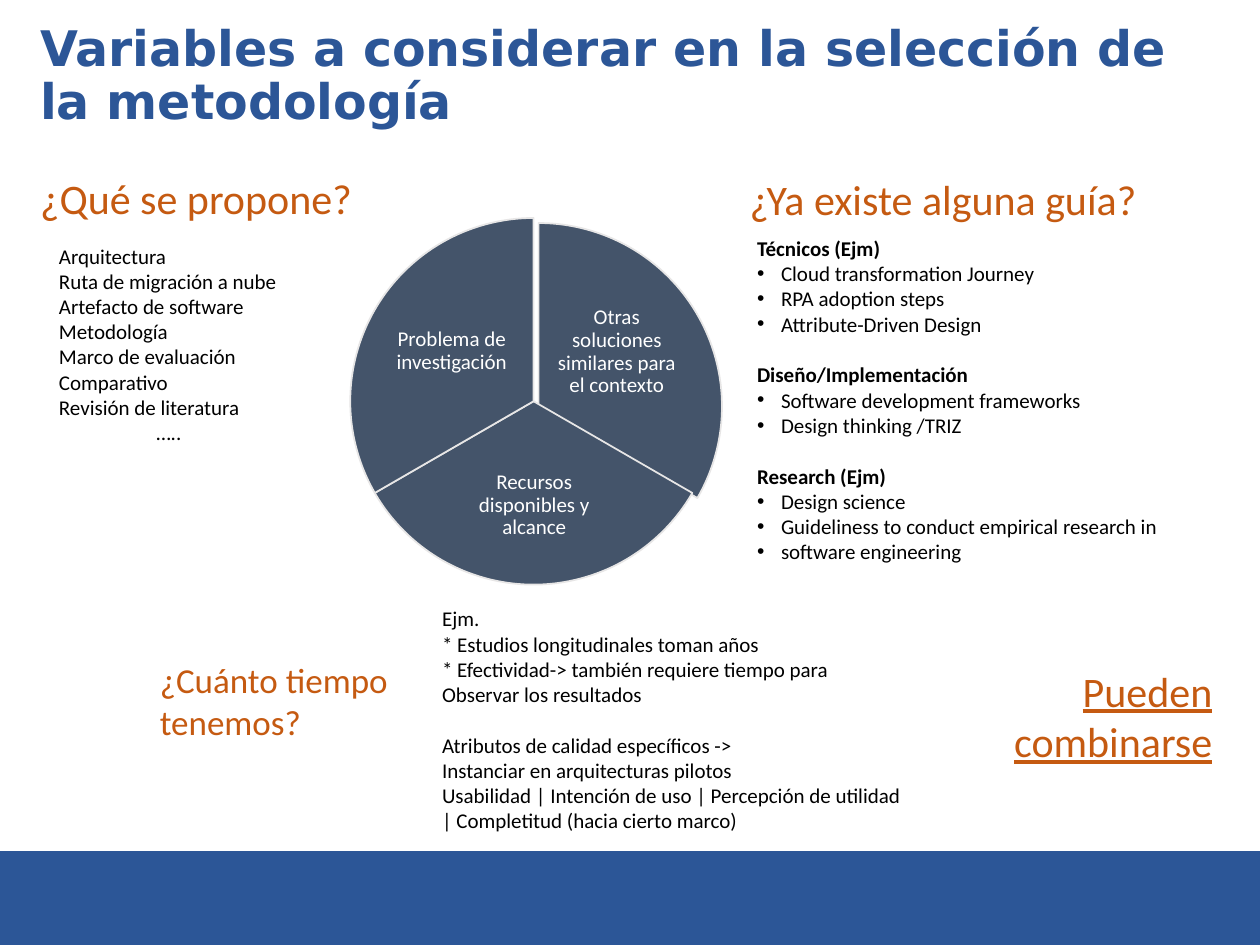
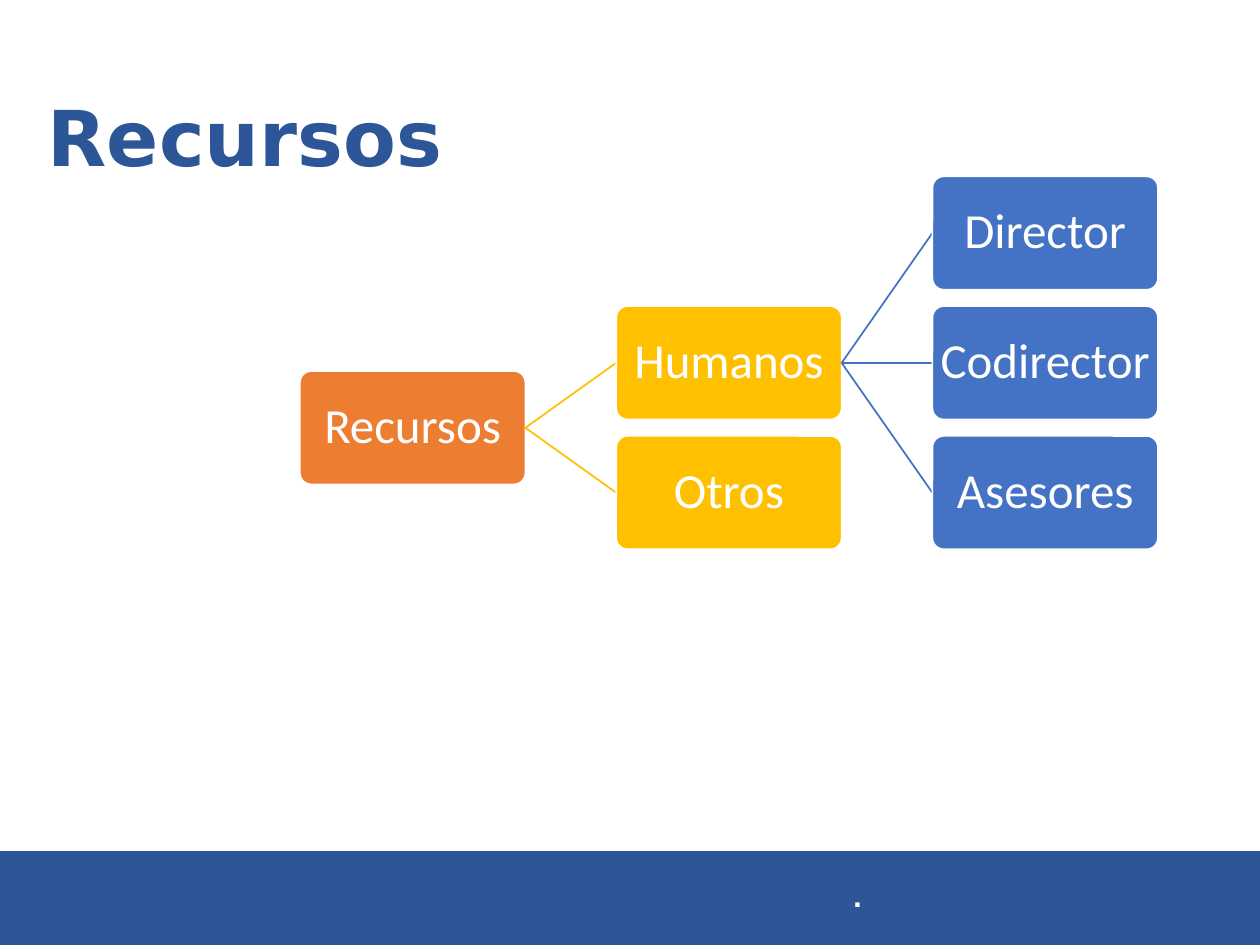
from dataclasses import dataclass

from lxml import etree
from pptx import Presentation
from pptx import util as u
from pptx.dml import color as dml
from pptx.enum import shapes, text
from pptx.oxml import ns

COLORS = {
    "navy": "2C5697", "rust": "C55A11", "slate": "44546A", "pale": "E7E6E6",
    "orange": "ED7D31", "amber": "FFC000", "blue": "4472C4",
    "white": "FFFFFF", "black": "000000",
}

# Font values of every kind of text
FORMATS = {
    "title": {"name": "DejaVu Sans", "size": u.Pt(28), "bold": True},
    "big_title": {"name": "DejaVu Sans", "size": u.Pt(44), "bold": True},
    "footer": {"name": "DejaVu Sans", "size": u.Pt(14), "bold": True},
    "question": {"name": "Calibri", "size": u.Pt(24)},
    "small_question": {"name": "Calibri", "size": u.Pt(20)},
    "remark": {"name": "Calibri", "size": u.Pt(24), "underline": True},
    "body": {"name": "Calibri", "size": u.Pt(12)},
    "heading": {"name": "Calibri", "size": u.Pt(12), "bold": True},
    "node": {"name": "Calibri", "size": u.Pt(28)},
}
LEFT, CENTER, RIGHT = text.PP_ALIGN.LEFT, text.PP_ALIGN.CENTER, text.PP_ALIGN.RIGHT
TOP, MIDDLE = text.MSO_ANCHOR.TOP, text.MSO_ANCHOR.MIDDLE
LINE_GAP = 14.65
BULLET_INDENT = u.Inches(0.19)


@dataclass
class Line:
    words: str
    style: str = "body"
    color: str = "black"
    align: text.PP_ALIGN = LEFT
    bullet: bool = False
    before: float = 0
    spacing: float = 1.0


@dataclass
class Box:
    left: float
    top: float
    width: float
    height: float
    lines: list[Line]
    anchor: text.MSO_ANCHOR = TOP
    inset: float | None = None


@dataclass
class Slice:
    left: float
    top: float
    start: int
    end: int
    label: Box


@dataclass
class Node:
    label: str
    column: int
    row: float
    children: tuple["Node", ...] = ()


def rgb(name: str) -> dml.RGBColor:
    return dml.RGBColor.from_string(COLORS[name])


def fill_frame(frame, lines: list[Line], anchor, inset: float | None) -> None:
    frame.word_wrap = True
    frame.vertical_anchor = anchor
    if inset is not None:
        for side in ("left", "top", "right", "bottom"):
            setattr(frame, f"margin_{side}", u.Inches(inset))
    for number, line in enumerate(lines):
        paragraph = frame.add_paragraph() if number else frame.paragraphs[0]
        if line.bullet:
            properties = paragraph._p.get_or_add_pPr()
            properties.set("marL", str(BULLET_INDENT))
            properties.set("indent", str(-BULLET_INDENT))
            etree.SubElement(properties, ns.qn("a:buFont")).set("typeface", "Arial")
            etree.SubElement(properties, ns.qn("a:buChar")).set("char", "•")
        paragraph.alignment = line.align
        paragraph.line_spacing = line.spacing
        if line.before:
            paragraph.space_before = u.Pt(line.before)
        run = paragraph.add_run()
        run.text = line.words
        for attribute, value in FORMATS[line.style].items():
            setattr(run.font, attribute, value)
        run.font.color.rgb = rgb(line.color)


def draw_box(slide, box: Box) -> None:
    area = slide.shapes.add_textbox(
        u.Inches(box.left), u.Inches(box.top), u.Inches(box.width), u.Inches(box.height))
    fill_frame(area.text_frame, box.lines, box.anchor, box.inset)


def draw_shape(slide, kind, left: float, top: float, width: float, height: float,
               fill: str, outline: str):
    shape = slide.shapes.add_shape(
        kind, u.Inches(left), u.Inches(top), u.Inches(width), u.Inches(height))
    shape.shadow.inherit = False
    shape.fill.solid()
    shape.fill.fore_color.rgb = rgb(fill)
    shape.line.color.rgb = rgb(outline)
    shape.line.width = u.Pt(1)
    return shape


def add_slide(deck, title: Box):
    """Blank slide with the lower band and its title."""
    slide = deck.slides.add_slide(deck.slide_layouts[6])
    draw_shape(slide, shapes.MSO_SHAPE.RECTANGLE, 0, 6.76, 10, 0.74, "navy", "navy")
    draw_box(slide, title)
    return slide


def title_box(left: float, top: float, height: float, words: str, style: str) -> Box:
    return Box(left, top, 9.47, height, [Line(words, style, "navy", spacing=0.9)], MIDDLE)


def slice_label(left: float, top: float, width: float, height: float, words: str) -> Box:
    line = Line(words, color="white", align=CENTER, spacing=0.9)
    return Box(left, top, width, height, [line], MIDDLE, 0.02)


def guide_group(heading: str, items: list[str], before: float = LINE_GAP) -> list[Line]:
    return [Line(heading, "heading", before=before),
            *(Line(item, bullet=True) for item in items)]


# Slide 1: variables around the three-part wheel
WHEEL_SIZE = 2.91
SLICES = [
    Slice(2.82, 1.77, 270, 30, slice_label(
        4.4, 2.31, 0.99, 0.97, "Otras soluciones similares para el contexto")),
    Slice(2.78, 1.73, 30, 150, slice_label(
        3.58, 3.56, 1.32, 0.9, "Recursos disponibles y alcance")),
    Slice(2.78, 1.73, 150, 270, slice_label(
        3.09, 2.3, 0.99, 0.97, "Problema de investigación")),
]
PROPOSALS = ["Arquitectura", "Ruta de migración a nube", "Artefacto de software",
             "Metodología", "Marco de evaluación", "Comparativo", "Revisión de literatura"]
TIME_NOTES = ["Ejm.", "* Estudios longitudinales toman años",
              "* Efectividad-> también requiere tiempo para", "Observar los resultados"]
QUALITY_NOTES = ["Instanciar en arquitecturas pilotos",
                 "Usabilidad | Intención de uso | Percepción de utilidad",
                 "| Completitud (hacia cierto marco)"]
GUIDES = [
    *guide_group("Técnicos (Ejm)", ["Cloud transformation Journey", "RPA adoption steps",
                                    "Attribute-Driven Design"], before=0),
    *guide_group("Diseño/Implementación", ["Software development frameworks",
                                           "Design thinking /TRIZ"]),
    *guide_group("Research (Ejm)", ["Design science",
                                    "Guideliness to conduct empirical research in",
                                    "software engineering"]),
]
VARIABLE_BOXES = [
    Box(0.37, 1.88, 1.94, 1.72,
        [*map(Line, PROPOSALS), Line("…..", align=CENTER)]),
    Box(0.22, 1.32, 3.06, 0.5, [Line("¿Qué se propone?", "question", "rust")]),
    Box(1.17, 5.18, 2.28, 0.77, [Line("¿Cuánto tiempo tenemos?", "small_question", "rust")]),
    Box(3.41, 4.76, 3.88, 2.12,
        [*map(Line, TIME_NOTES),
         Line("Atributos de calidad específicos ->", before=LINE_GAP),
         *map(Line, QUALITY_NOTES)]),
    Box(5.85, 1.33, 3.51, 0.5, [Line("¿Ya existe alguna guía?", "question", "rust")]),
    Box(5.91, 1.82, 3.45, 2.93, GUIDES),
    Box(7.07, 5.23, 2.65, 0.91, [Line("Pueden combinarse", "remark", "rust", RIGHT)]),
]


def build_variables(deck) -> None:
    slide = add_slide(deck, title_box(
        0.22, 0, 1.22, "Variables a considerar en la selección de la metodología", "title"))
    for part in SLICES:
        wedge = draw_shape(slide, shapes.MSO_SHAPE.PIE, part.left, part.top,
                           WHEEL_SIZE, WHEEL_SIZE, "slate", "pale")
        # Angles are stored in 60000ths of a degree, adjustments in 100000ths
        for index, angle in enumerate((part.start, part.end)):
            wedge.adjustments[index] = angle * 0.6
        draw_box(slide, part.label)
    for box in VARIABLE_BOXES:
        draw_box(slide, box)


# Slide 2: tree of resources
NODE_WIDTH, NODE_HEIGHT = 1.79, 0.9
TREE_LEFT, TREE_TOP = 2.38, 1.4
COLUMN_STEP, ROW_STEP = 2.51, 1.03
LEVEL_COLORS = ("orange", "amber", "blue")
RESOURCES = Node("Recursos", 0, 1.5, (
    Node("Humanos", 1, 1, (
        Node("Director", 2, 0), Node("Codirector", 2, 1), Node("Asesores", 2, 2))),
    Node("Otros", 1, 2),
))


def node_corner(node: Node) -> tuple[float, float]:
    return TREE_LEFT + node.column * COLUMN_STEP, TREE_TOP + node.row * ROW_STEP


def draw_branch(slide, parent: Node, child: Node) -> None:
    (from_x, from_y), (to_x, to_y) = node_corner(parent), node_corner(child)
    middle = NODE_HEIGHT / 2
    branch = slide.shapes.add_connector(
        shapes.MSO_CONNECTOR.STRAIGHT, u.Inches(from_x + NODE_WIDTH),
        u.Inches(from_y + middle), u.Inches(to_x), u.Inches(to_y + middle))
    branch.line.color.rgb = rgb(LEVEL_COLORS[child.column])
    branch.line.width = u.Pt(1)
    etree.SubElement(branch._element.spPr, ns.qn("a:effectLst"))


def draw_tree(slide, node: Node) -> None:
    card = draw_shape(slide, shapes.MSO_SHAPE.ROUNDED_RECTANGLE, *node_corner(node),
                      NODE_WIDTH, NODE_HEIGHT, LEVEL_COLORS[node.column], "white")
    card.adjustments[0] = 0.1
    label = Line(node.label, "node", "white", CENTER, spacing=0.9)
    fill_frame(card.text_frame, [label], MIDDLE, 0.02)
    for child in node.children:
        draw_branch(slide, node, child)
        draw_tree(slide, child)


def build_resources(deck) -> None:
    slide = add_slide(deck, title_box(0.28, 0.4, 1.45, "Recursos", "big_title"))
    draw_box(slide, Box(5.48, 6.84, 2.65, 0.6,
                        [Line(".", "footer", "white", CENTER, spacing=0.9)], MIDDLE))
    draw_tree(slide, RESOURCES)


def main() -> None:
    deck = Presentation()
    deck.slide_width, deck.slide_height = u.Inches(10), u.Inches(7.5)
    build_variables(deck)
    build_resources(deck)
    deck.save("out.pptx")


if __name__ == "__main__":
    main()
